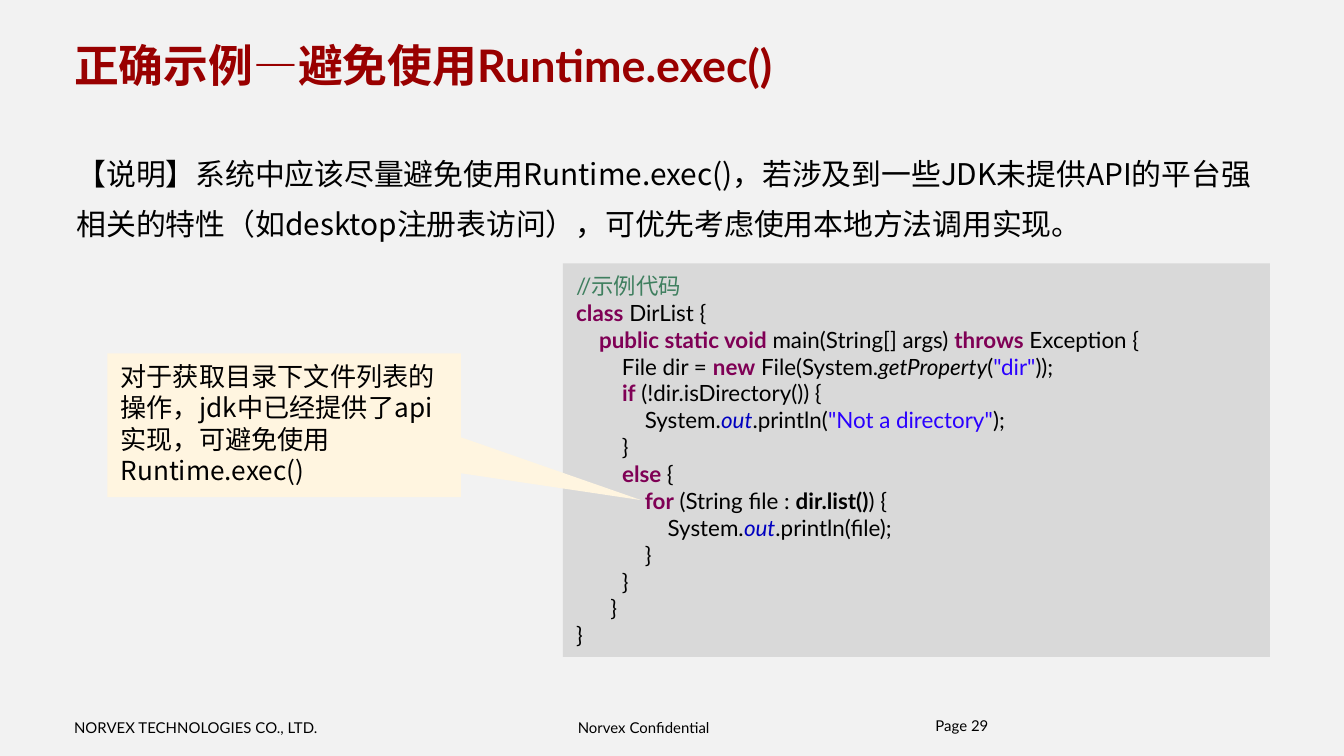
"""Build the slide on avoiding Runtime.exec() with a commented code sample."""
from lxml import etree
from pptx import Presentation
from pptx import util as u
from pptx.dml import color
from pptx.enum import shapes, text
from pptx.oxml import ns

COLORS = {
    "page": "F2F2F2", "title": "990000", "plain": "000000", "panel": "D9D9D9",
    "callout": "FFF5E0", "comment": "3F7F5F", "keyword": "7F0055",
    "string": "2A00FF", "field": "0000C0",
}
LATIN, CHINESE = "Lato", "Noto Sans CJK SC"

PLAIN = {}
COMMENT = {"tint": "comment"}
KEYWORD = {"tint": "keyword", "bold": True}
STRING = {"tint": "string"}
FIELD = {"tint": "field", "italic": True}
METHOD = {"italic": True}
STRONG = {"bold": True}

TITLE = "正确示例—避免使用Runtime.exec()"
EXPLANATION = (
    "【说明】系统中应该尽量避免使用Runtime.exec()，若涉及到一些JDK未提供API的"
    "平台强相关的特性（如desktop注册表访问），可优先考虑使用本地方法调用实现。"
)
REMARK = "对于获取目录下文件列表的操作，jdk中已经提供了api实现，可避免使用Runtime.exec()"
CODE = [
    [("//示例代码", COMMENT)],
    [("class", KEYWORD), (" DirList {", PLAIN)],
    [("    ", PLAIN), ("public static void", KEYWORD), (" main(String[] args) ", PLAIN),
     ("throws", KEYWORD), (" Exception {", PLAIN)],
    [("        File dir = ", PLAIN), ("new", KEYWORD), (" File(System.", PLAIN),
     ("getProperty", METHOD), ("(", PLAIN), ('"dir"', STRING), ("));", PLAIN)],
    [("        ", PLAIN), ("if", KEYWORD), (" (!dir.isDirectory()) {", PLAIN)],
    [("            System.", PLAIN), ("out", FIELD), (".println(", PLAIN),
     ('"Not a directory"', STRING), (");", PLAIN)],
    [("        }", PLAIN)],
    [("        ", PLAIN), ("else ", KEYWORD), ("{", PLAIN)],
    [("            ", PLAIN), ("for", KEYWORD), (" (String file : ", PLAIN),
     ("dir.list()", STRONG), (") {", PLAIN)],
    [("                System.", PLAIN), ("out", FIELD), (".println(file);", PLAIN)],
    [("            }", PLAIN)],
    [("        }", PLAIN)],
    [("      }", PLAIN)],
    [("}", PLAIN)],
]
FOOTERS = [
    ("NORVEX TECHNOLOGIES CO., LTD.", (1.4, 13.59, 4.85, 0.33), 0, False, None),
    ("Norvex Confidential", (10.69, 13.59, 3.2, 0.33), 0.23, False, None),
    ("Page 29", (17.68, 13.59, 5.82, 0.94), 0, True, 0.85),
]


def write(box, content, size, font=LATIN, tint="plain", bold=False, inset=(0.25, 0.13),
          anchor=text.MSO_ANCHOR.TOP, wrap=True, spacing=None):
    """Fill a box with a string or with lines of (text, style) spans."""
    frame = box.text_frame
    frame.word_wrap = wrap
    frame.vertical_anchor = anchor
    frame.margin_left = frame.margin_right = u.Cm(inset[0])
    frame.margin_top = frame.margin_bottom = u.Cm(inset[1])
    lines = [[(content, PLAIN)]] if isinstance(content, str) else content
    for index, line in enumerate(lines):
        para = frame.add_paragraph() if index else frame.paragraphs[0]
        para.alignment = text.PP_ALIGN.LEFT
        if spacing:
            para.line_spacing = spacing
        for words, style in line:
            span = para.add_run()
            span.text = words
            span.font.size = u.Pt(size)
            span.font.name = font
            span.font.bold = style.get("bold", bold)
            span.font.italic = style.get("italic", False)
            span.font.color.rgb = color.RGBColor.from_string(COLORS[style.get("tint", tint)])
            etree.SubElement(span.font._element, ns.qn("a:ea"), typeface=CHINESE)


def add_box(page, place):
    """Add an empty text box."""
    return page.shapes.add_textbox(*map(u.Cm, place))


def add_panel(page, kind, place, fill):
    """Add a flat filled shape without outline."""
    panel = page.shapes.add_shape(kind, *map(u.Cm, place))
    panel.shadow.inherit = False
    panel.fill.solid()
    panel.fill.fore_color.rgb = color.RGBColor.from_string(COLORS[fill])
    panel.line.fill.background()
    return panel


def main():
    """Lay out the slide and save it."""
    deck = Presentation()
    deck.slide_width, deck.slide_height = u.Cm(25.4), u.Cm(14.29)
    page = deck.slides.add_slide(deck.slide_layouts[6])
    page.background.fill.solid()
    page.background.fill.fore_color.rgb = color.RGBColor.from_string(COLORS["page"])

    for words, place, side, wrap, spacing in FOOTERS:
        write(add_box(page, place), words, 8, inset=(side, 0), wrap=wrap, spacing=spacing)
    write(add_box(page, (1.22, 0.61, 22.4, 1.22)), TITLE, 24, tint="title", bold=True,
          inset=(0.18, 0.1), anchor=text.MSO_ANCHOR.MIDDLE)

    sample = add_panel(page, shapes.MSO_SHAPE.RECTANGLE, (10.64, 4.98, 13.36, 7.44), "panel")
    write(sample, CODE, 12, anchor=text.MSO_ANCHOR.MIDDLE)
    write(add_box(page, (1.22, 2.57, 22.76, 2.13)), EXPLANATION, 16, font=CHINESE,
          inset=(0.23, 0.1), spacing=1.4)

    callout = add_panel(page, shapes.MSO_SHAPE.RECTANGULAR_CALLOUT,
                        (2.03, 6.68, 6.68, 2.72), "callout")
    callout.adjustments[0], callout.adjustments[1] = 1.01, 0.52
    write(callout, REMARK, 14, font=CHINESE)

    deck.save("out.pptx")


if __name__ == "__main__":
    main()
